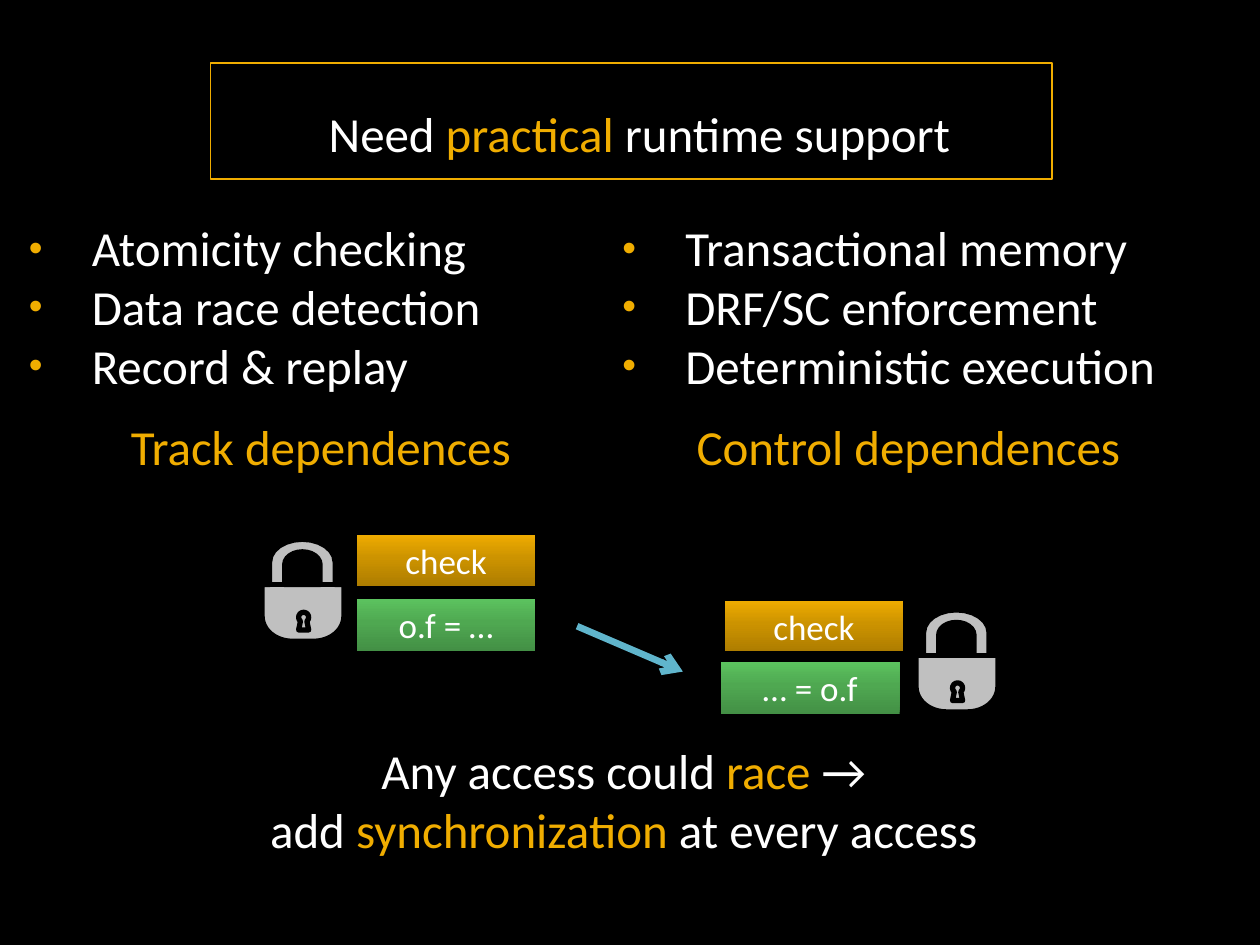
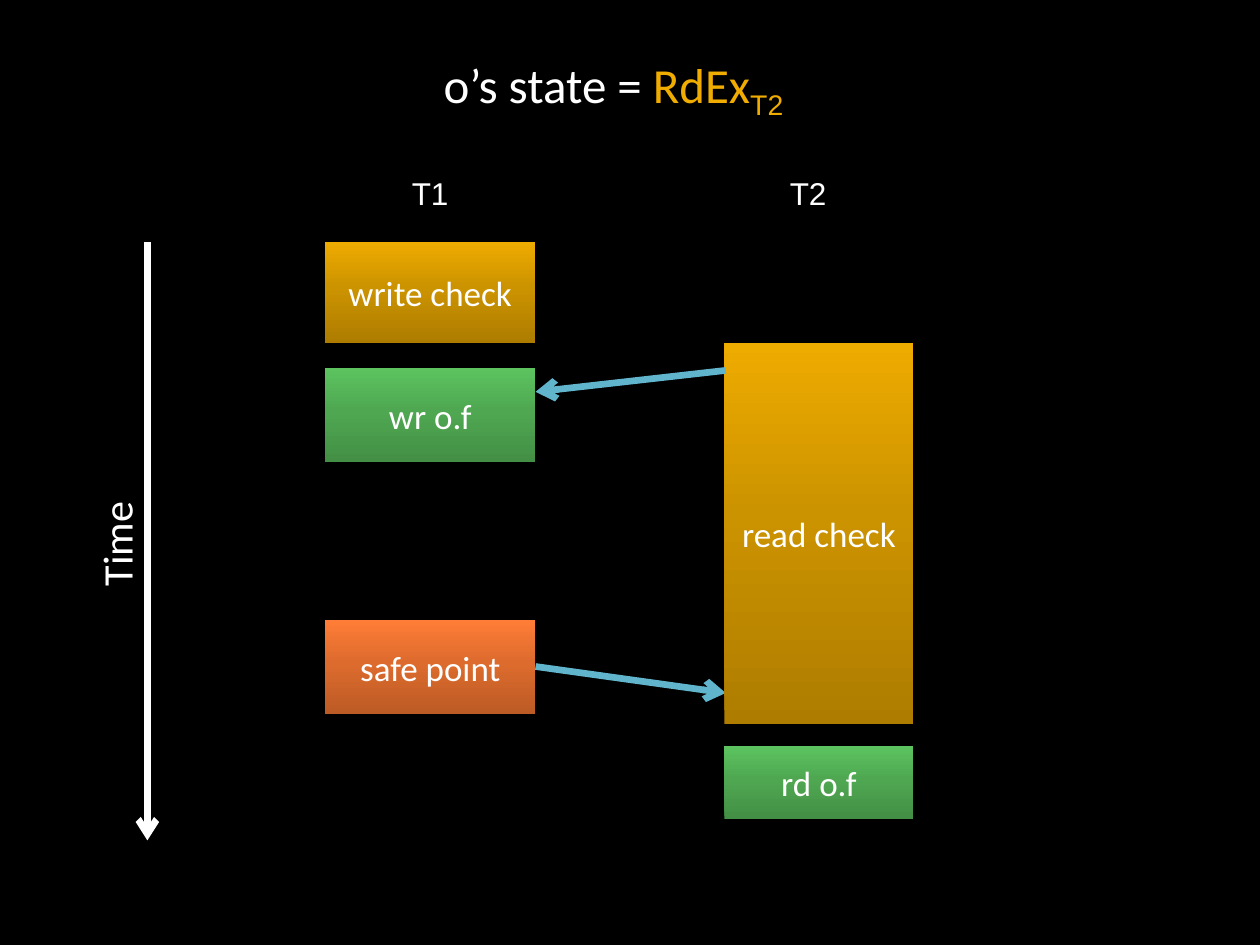
import copy
import math
from dataclasses import dataclass

from lxml import etree
from pptx import Presentation
from pptx.dml.color import RGBColor
from pptx.enum import shapes, text
from pptx.oxml import ns
from pptx.util import Inches, Pt


@dataclass(frozen=True)
class Theme:
    back: str = "000000"
    ink: str = "FFFFFF"
    accent: str = "F0AD00"
    arrow: str = "60B5CC"
    lock: str = "C0C0C0"
    gold: tuple = ("AE7D00", "CC9300", "EEAB00")
    green: tuple = ("438F45", "4FA851", "5CC35F")
    orange: tuple = ("BC5B26", "DD6B2D", "FF7D37")
    stops: tuple = (0, 0.55, 1)
    font: str = "Calibri"
    alt_font: str = "Arial"
    big: int = 28
    axis: int = 24
    block: int = 20
    small: int = 18
    arrow_width: float = 3.82
    lock_width: float = 3


T = Theme()
LEFT, CENTER = text.PP_ALIGN.LEFT, text.PP_ALIGN.CENTER


def rgb(color):
    return RGBColor.from_string(color)


def arc(cx, cy, rx, ry, start, end, steps=12):
    angles = [math.radians(start + (end - start) * i / steps) for i in range(steps + 1)]
    return [(cx + rx * math.cos(a), cy + ry * math.sin(a)) for a in angles]


def add_xml(parent, tag, **attrs):
    return etree.SubElement(parent, ns.qn(tag), **attrs)


class Deck:
    def __init__(self, theme):
        self.t = theme
        self.prs = Presentation()
        self.prs.slide_width, self.prs.slide_height = Inches(10), Inches(7.5)
        fill = self.prs.slide_master.background.fill
        fill.solid()
        fill.fore_color.rgb = rgb(theme.back)
        self.s = None

    def slide(self):
        self.s = self.prs.slides.add_slide(self.prs.slide_layouts[5])

    def add_text(self, p, content, size, color=None, font=None, baseline=None):
        r = p.add_run()
        r.text = content
        r.font.size = Pt(size)
        r.font.name = font or self.t.font
        r.font.color.rgb = rgb(color or self.t.ink)
        if baseline:
            r.font._element.set("baseline", str(baseline))

    def fill_text(self, tf, lines, size, align=LEFT, indent=None, bullet=False):
        for i, runs in enumerate(lines):
            p = tf.paragraphs[0] if i == 0 else tf.add_paragraph()
            p.alignment = align
            if indent:
                pPr = p._p.get_or_add_pPr()
                pPr.set("marL", str(Inches(indent[0])))
                pPr.set("indent", str(Inches(indent[1])))
                if bullet:
                    add_xml(add_xml(pPr, "a:buClr"), "a:srgbClr", val=self.t.accent)
                    add_xml(pPr, "a:buSzPct", val="80000")
                    add_xml(pPr, "a:buFont", typeface=self.t.alt_font)
                    add_xml(pPr, "a:buChar", char="•")
            for content, *style in runs:
                self.add_text(p, content, size, *style)

    def title(self, x, y, w, h, runs, align=LEFT, indent=None):
        sp = self.s.shapes.title
        sp.left, sp.top, sp.width, sp.height = map(Inches, (x, y, w, h))
        tf = sp.text_frame
        tf.auto_size = text.MSO_AUTO_SIZE.NONE
        tf.vertical_anchor = text.MSO_ANCHOR.MIDDLE
        self.fill_text(tf, [runs], self.t.big, align, indent)
        return sp

    def label(self, x, y, w, h, lines, size, wrap=False, **style):
        sp = self.s.shapes.add_textbox(*map(Inches, (x, y, w, h)))
        sp.text_frame.word_wrap = wrap
        self.fill_text(sp.text_frame, lines, size, **style)
        return sp

    def bullets(self, x, y, w, h, items, inset):
        lines = [[(item,)] for item in items]
        tf = self.label(x, y, w, h, lines, self.t.big, True,
                        indent=(0.63, -0.5), bullet=True).text_frame
        tf.vertical_anchor = text.MSO_ANCHOR.MIDDLE
        tf.margin_left, tf.margin_top = Inches(inset), Inches(0.1)

    def block(self, x, y, w, h, caption, colors):
        sp = self.s.shapes.add_shape(shapes.MSO_SHAPE.RECTANGLE, *map(Inches, (x, y, w, h)))
        sp.shadow.inherit = False
        sp.line.fill.background()
        sp.fill.gradient()
        sp.fill.gradient_angle = 90
        stop_list = sp._element.spPr.find(".//" + ns.qn("a:gsLst"))
        stop_list.append(copy.deepcopy(stop_list[0]))
        for stop, position, color in zip(sp.fill.gradient_stops, self.t.stops, colors):
            stop.position = position
            stop.color.rgb = rgb(color)
        tf = sp.text_frame
        tf.word_wrap = True
        tf.vertical_anchor = text.MSO_ANCHOR.MIDDLE
        self.fill_text(tf, [[(caption,)]], self.t.block, CENTER)

    def connector(self, x1, y1, x2, y2, color, width):
        c = self.s.shapes.add_connector(shapes.MSO_CONNECTOR.STRAIGHT,
                                        *map(Inches, (x1, y1, x2, y2)))
        c.line.color.rgb = rgb(color)
        c.line.width = Pt(width)
        add_xml(c._element.spPr, "a:effectLst")
        return c

    def arrow(self, x1, y1, x2, y2, color=None):
        c = self.connector(x1, y1, x2, y2, color or self.t.arrow, self.t.arrow_width)
        add_xml(c.line._get_or_add_ln(), "a:tailEnd", type="arrow")

    def outline(self, x, y, contours):
        builder = None
        for contour in contours:
            first, *rest = [(Inches(x + dx), Inches(y + dy)) for dx, dy in contour]
            if builder is None:
                builder = self.s.shapes.build_freeform(*first)
            else:
                builder.move_to(*first)
            builder.add_line_segments(rest, close=True)
        sp = builder.convert_to_shape()
        sp.shadow.inherit = False
        sp.fill.solid()
        sp.fill.fore_color.rgb = rgb(self.t.lock)
        sp.line.color.rgb = rgb(self.t.back)
        sp.line.width = Pt(self.t.lock_width)

    def padlock(self, x, y):
        seam = 0.36
        body = [(0, seam), (0.06, seam), *arc(0.32, 0.18, 0.26, 0.18, 180, 360),
                (0.58, seam), (0.65, seam),
                *arc(0.41, 0.61, 0.24, 0.2, 0, 90), *arc(0.24, 0.61, 0.24, 0.2, 90, 180)]
        opening = [(0.18, seam), *arc(0.32, 0.2, 0.14, 0.1, 180, 360), (0.46, seam)]
        keyhole = [*arc(0.33, 0.62, 0.04, 0.04, 130, 410), (0.37, 0.72), (0.29, 0.72)]
        self.outline(x, y, [body, opening])
        self.connector(x, y + seam, x + 0.65, y + seam, self.t.back, self.t.lock_width)
        self.outline(x, y, [keyhole])


def runtime_support(d):
    d.slide()
    sp = d.title(1.67, 0.5, 6.68, 0.92,
                 [("Need",), (" practical", T.accent), (" runtime support",)],
                 CENTER, (0.13, 0))
    sp.line.color.rgb = rgb(T.accent)
    sp.line.width = Pt(0.75)
    sp.text_frame.margin_top = Inches(0.1)
    sp.text_frame.paragraphs[0].line_spacing = 1.3

    d.bullets(0, 1.25, 4.58, 2.31,
              ["Atomicity checking", "Data race detection", "Record & replay"], 0.1)
    d.bullets(4.75, 1.25, 4.75, 2.31,
              ["Transactional memory", "DRF/SC enforcement", "Deterministic execution"], 0.06)
    for x, w, caption in ((0.81, 3.44, "Track dependences"), (5.3, 3.78, "Control dependences")):
        d.label(x, 3.26, w, 0.57, [[(caption, T.accent)]], T.big, indent=(0.48, -0.35))

    threads = (
        (2.83, 4.25, 2.83, 4.75, "o.f = …", 2.08, 4.28),
        (5.75, 4.77, 5.72, 5.25, "… = o.f", 7.27, 4.84),
    )
    for check_x, check_y, access_x, access_y, access, lock_x, lock_y in threads:
        d.block(access_x, access_y, 1.42, 0.42, access, T.green)
        d.block(check_x, check_y, 1.42, 0.4, "check", T.gold)
        d.padlock(lock_x, lock_y)
    d.arrow(4.58, 4.97, 5.42, 5.33)

    d.label(0.81, 5.83, 8.28, 1.04,
            [[("Any access could ",), ("race ", T.accent), ("→",)],
             [("add ",), ("synchronization", T.accent), (" at every access",)]],
            T.big, True, align=CENTER)


def read_exclusive(d):
    d.slide()
    sp = d.title(3.42, 0.41, 3.01, 0.57,
                 [("o’s state = ",), ("RdEx", T.accent), ("T2", T.accent, T.alt_font, -25000)])
    sp.text_frame.word_wrap = False
    for x, thread in ((3.17, "T1"), (6.17, "T2")):
        d.label(x, 1.33, 0.5, 0.4, [[(thread, T.ink, T.alt_font)]], T.small)

    for y, h, caption, colors in ((1.92, 0.8, "write check", T.gold),
                                  (2.92, 0.75, "wr o.f", T.green),
                                  (4.92, 0.75, "safe point", T.orange)):
        d.block(2.58, y, 1.67, h, caption, colors)
    d.arrow(4.25, 5.29, 5.76, 5.5)
    for y, h, caption, colors in ((2.72, 3.03, "read check", T.gold),
                                  (5.92, 0.58, "rd o.f", T.green)):
        d.block(5.75, y, 1.5, h, caption, colors)
    d.arrow(5.76, 2.94, 4.25, 3.11)

    d.arrow(1.17, 1.92, 1.17, 6.67, T.ink)
    d.label(0.46, 4.04, 0.92, 0.5, [[("Time",)]], T.axis).rotation = 270


def main():
    d = Deck(T)
    runtime_support(d)
    read_exclusive(d)
    d.prs.save("out.pptx")


if __name__ == "__main__":
    main()
